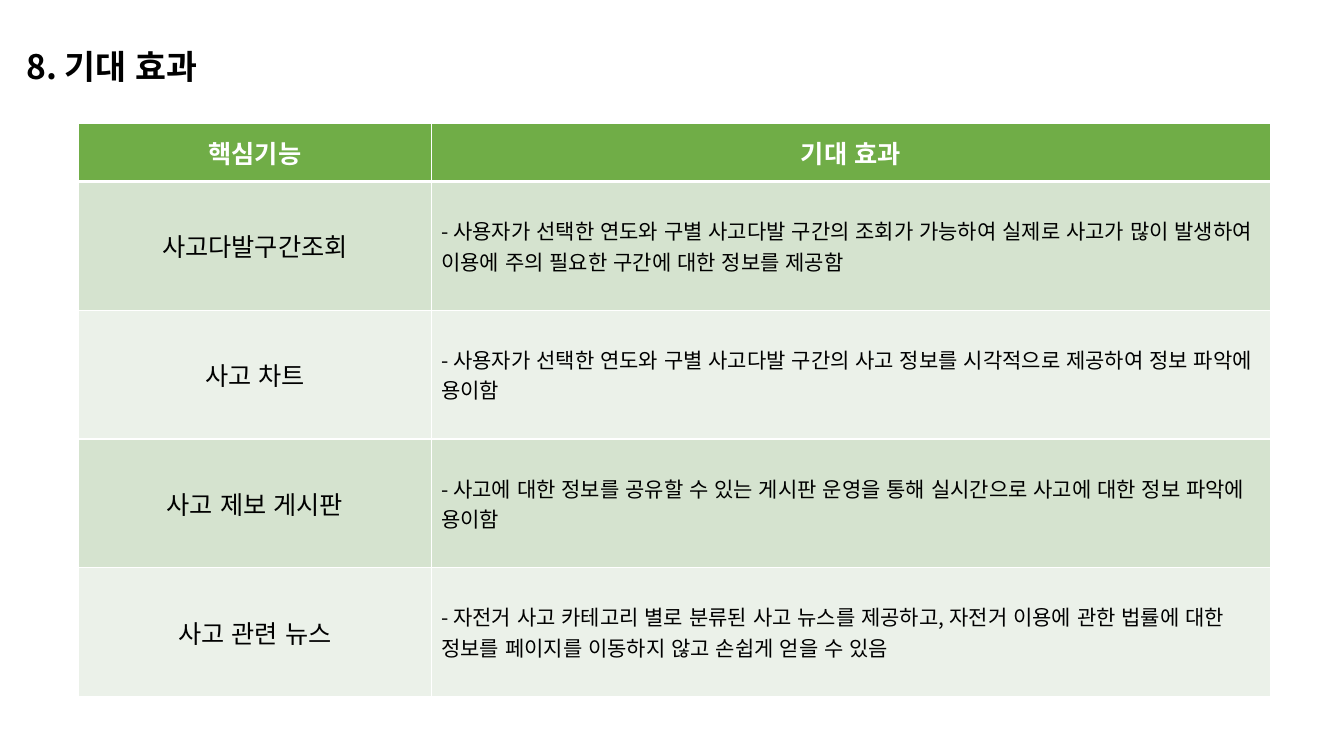
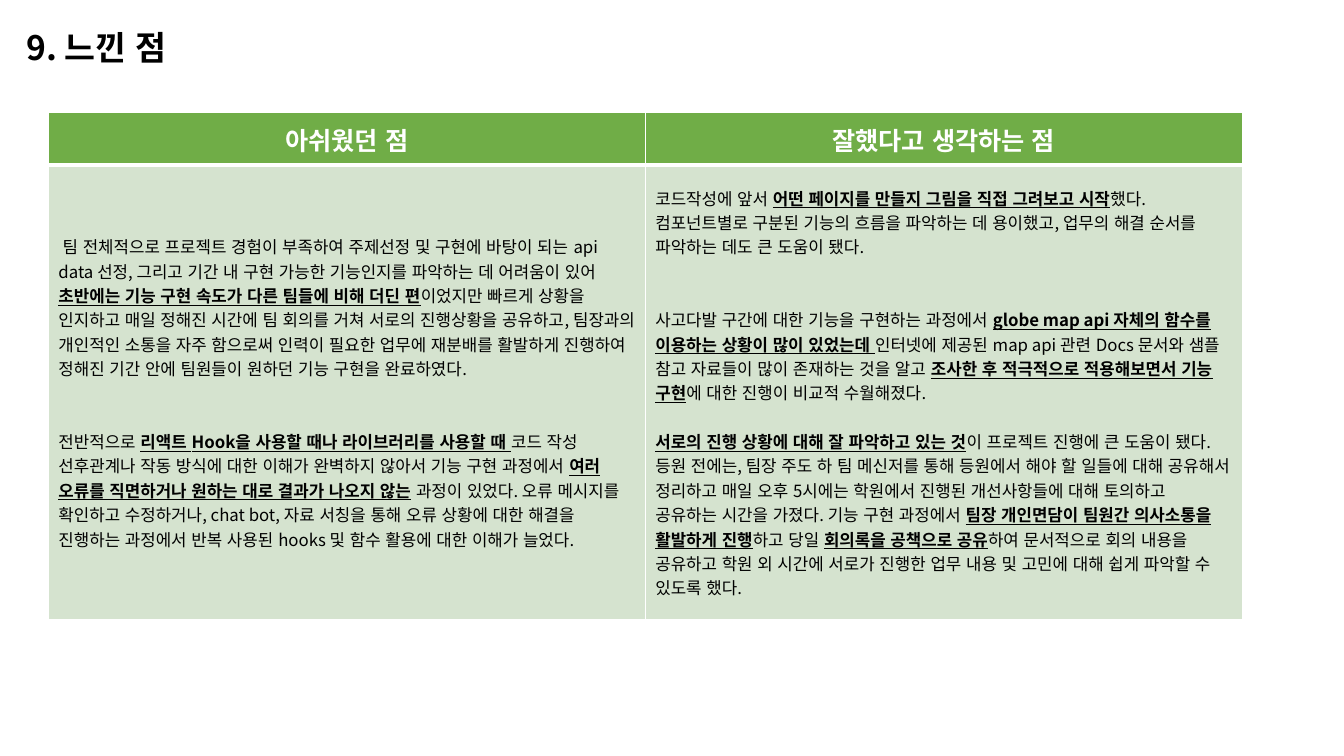
from pptx import Presentation, util as u
from pptx.dml.color import RGBColor
from pptx.enum import lang, text
from pptx.oxml import parse_xml
from pptx.oxml.ns import nsdecls, qn

COLORS = {"header": "70AD47", "band": "D5E3CF", "pale": "EBF1E9",
          "ink": "000000", "white": "FFFFFF"}
FONT = "Noto Sans CJK KR"
TITLE_SIZE, HEAD_SIZE = 24, 18
TITLE_LEFT, TITLE_HEIGHT = 0.16, 0.5
LINE = 17.4  # one line of 12 pt text, in points
LEFT, CENTER = text.PP_ALIGN.LEFT, text.PP_ALIGN.CENTER

EFFECTS = [
    ("사고다발구간조회", "- 사용자가 선택한 연도와 구별 사고다발 구간의 조회가 가능하여 실제로 "
     "사고가 많이 발생하여 이용에 주의 필요한 구간에 대한 정보를 제공함"),
    ("사고 차트", "- 사용자가 선택한 연도와 구별 사고다발 구간의 사고 정보를 시각적으로 "
     "제공하여 정보 파악에 용이함"),
    ("사고 제보 게시판", "- 사고에 대한 정보를 공유할 수 있는 게시판 운영을 통해 실시간으로 "
     "사고에 대한 정보 파악에 용이함"),
    ("사고 관련 뉴스", "- 자전거 사고 카테고리 별로 분류된 사고 뉴스를 제공하고, 자전거 이용에 "
     "관한 법률에 대한 정보를 페이지를 이동하지 않고 손쉽게 얻을 수 있음"),
]

# Each paragraph: lines of space before, first-line indent (pt), text with *emphasis*
REGRETS = [
    (0, 3, "팀 전체적으로 프로젝트 경험이 부족하여 주제선정 및 구현에 바탕이 되는 api data 선정, "
     "그리고 기간 내 구현 가능한 기능인지를 파악하는 데 어려움이 있어 "
     "*초반에는 기능 구현 속도가 다른 팀들에 비해 더딘 편*이었지만 빠르게 상황을 인지하고 매일 "
     "정해진 시간에 팀 회의를 거쳐 서로의 진행상황을 공유하고, 팀장과의 개인적인 소통을 자주 "
     "함으로써 인력이 필요한 업무에 재분배를 활발하게 진행하여 정해진 기간 안에 팀원들이 원하던 "
     "기능 구현을 완료하였다."),
    (2, 0, "전반적으로 *리액트 Hook을 사용할 때나 라이브러리를 사용할 때 *코드 작성 선후관계나 "
     "작동 방식에 대한 이해가 완벽하지 않아서 기능 구현 과정에서 "
     "*여러 오류를 직면하거나 원하는 대로 결과가 나오지 않는* 과정이 있었다. 오류 메시지를 "
     "확인하고 수정하거나, chat bot, 자료 서칭을 통해 오류 상황에 대한 해결을 진행하는 과정에서 "
     "반복 사용된 hooks 및 함수 활용에 대한 이해가 늘었다."),
]
STRENGTHS = [
    (0, 0, "코드작성에 앞서 *어떤 페이지를 만들지 그림을 직접 그려보고 시작*했다. 컴포넌트별로 "
     "구분된 기능의 흐름을 파악하는 데 용이했고, 업무의 해결 순서를 파악하는 데도 큰 도움이 됐다."),
    (2, 0, "사고다발 구간에 대한 기능을 구현하는 과정에서 "
     "*globe map api 자체의 함수를 이용하는 상황이 많이 있었는데 *인터넷에 제공된 map api 관련 "
     "Docs 문서와 샘플 참고 자료들이 많이 존재하는 것을 알고 "
     "*조사한 후 적극적으로 적용해보면서 기능 구현*에 대한 진행이 비교적 수월해졌다."),
    (1, 0, "*서로의 진행 상황에 대해 잘 파악하고 있는 것*이 프로젝트 진행에 큰 도움이 됐다. "
     "등원 전에는, 팀장 주도 하 팀 메신저를 통해 등원에서 해야 할 일들에 대해 공유해서 정리하고 "
     "매일 오후 5시에는 학원에서 진행된 개선사항들에 대해 토의하고 공유하는 시간을 가졌다. "
     "기능 구현 과정에서 *팀장 개인면담이 팀원간 의사소통을 활발하게 진행*하고 당일 "
     "*회의록을 공책으로 공유*하여 문서적으로 회의 내용을 공유하고 학원 외 시간에 서로가 진행한 "
     "업무 내용 및 고민에 대해 쉽게 파악할 수 있도록 했다."),
]


def style(paragraph, size, color="ink", bold=False, align=LEFT):
    paragraph.alignment = align
    font = paragraph.font
    font.size, font.bold, font.name = u.Pt(size), bold, FONT
    font.language_id = lang.MSO_LANGUAGE_ID.KOREAN
    font.color.rgb = RGBColor.from_string(COLORS[color])
    # East Asian typeface, without pair kerning
    defaults = paragraph._p.pPr.find(qn("a:defRPr"))
    defaults.set("kern", "0")
    defaults.append(parse_xml(f'<a:ea {nsdecls("a")} typeface="{FONT}"/>'))
    for run in paragraph.runs:
        run.font.language_id = lang.MSO_LANGUAGE_ID.KOREAN


def add_title(slide, heading, top, width):
    title = slide.shapes.title
    title.left, title.top = u.Inches(TITLE_LEFT), u.Inches(top)
    title.width, title.height = u.Inches(width), u.Inches(TITLE_HEIGHT)
    frame = title.text_frame
    frame.text = heading
    frame.word_wrap = False
    frame.auto_size = text.MSO_AUTO_SIZE.SHAPE_TO_FIT_TEXT
    frame.vertical_anchor = text.MSO_ANCHOR.TOP
    style(frame.paragraphs[0], TITLE_SIZE, bold=True)


def paint(cell, fill, top=1, bottom=1):
    """White borders first, then the fill, as the schema orders them."""
    properties = cell._tc.get_or_add_tcPr()
    for side, points in zip("LRTB", (1, 1, top, bottom)):
        properties.append(parse_xml(
            f'<a:ln{side} {nsdecls("a")} w="{u.Pt(points)}"><a:solidFill>'
            f'<a:srgbClr val="{COLORS["white"]}"/></a:solidFill></a:ln{side}>'))
    cell.fill.solid()
    cell.fill.fore_color.rgb = RGBColor.from_string(COLORS[fill])
    cell.vertical_anchor = text.MSO_ANCHOR.MIDDLE


def add_grid(slide, box, columns, head_height, headings, body_rows):
    """Painted table with a header row and equal body rows; returns the table."""
    left, top, width, height = box
    table = slide.shapes.add_table(body_rows + 1, len(columns),
                                   *map(u.Inches, box)).table
    for column, share in zip(table.columns, columns):
        column.width = u.Inches(width * share / sum(columns))
    for index, row in enumerate(table.rows):
        row.height = u.Inches((height - head_height) / body_rows if index else head_height)
        fill = "header" if index == 0 else "band" if index % 2 else "pale"
        for cell in row.cells:
            paint(cell, fill, top=3 if index == 1 else 1, bottom=1 if index else 3)
    for cell, heading in zip(table.rows[0].cells, headings):
        cell.text = heading
        style(cell.text_frame.paragraphs[0], HEAD_SIZE, "white", True, CENTER)
    return table


def write_reflections(cell, reflections):
    frame = cell.text_frame
    for index, (gap, indent, passage) in enumerate(reflections):
        paragraph = frame.add_paragraph() if index else frame.paragraphs[0]
        if gap:
            paragraph.space_before = u.Pt(gap * LINE)
        if indent:
            paragraph._p.get_or_add_pPr().set("indent", str(u.Pt(indent)))
        # Odd pieces stand between asterisks
        for piece, words in enumerate(passage.split("*")):
            if words:
                run = paragraph.add_run()
                run.text = words
                if piece % 2:
                    run.font.bold = run.font.underline = True
        style(paragraph, 12)


def effects_slide(slide):
    add_title(slide, "8. 기대 효과", 0.41, 2.07)
    table = add_grid(slide, (0.78, 1.22, 11.82, 5.69), (3.5, 8.33), 0.58,
                     ("핵심기능", "기대 효과"), len(EFFECTS))
    for row, (feature, effect) in enumerate(EFFECTS, 1):
        for column, (words, size, align) in enumerate(
                ((feature, HEAD_SIZE, CENTER), (effect, 15, LEFT))):
            cell = table.cell(row, column)
            cell.text = words
            style(cell.text_frame.paragraphs[0], size, align=align)


def reflections_slide(slide):
    add_title(slide, "9. 느낀 점", 0.22, 1.73)
    table = add_grid(slide, (0.48, 1.12, 11.84, 5.03), (1, 1), 0.52,
                     ("아쉬웠던 점", "잘했다고 생각하는 점"), 1)
    for column, reflections in enumerate((REGRETS, STRENGTHS)):
        write_reflections(table.cell(1, column), reflections)


def main():
    deck = Presentation()
    deck.slide_width, deck.slide_height = u.Inches(13.33), u.Inches(7.5)
    title_only = deck.slide_layouts[5]
    for build in (effects_slide, reflections_slide):
        build(deck.slides.add_slide(title_only))
    deck.save("out.pptx")


if __name__ == "__main__":
    main()
